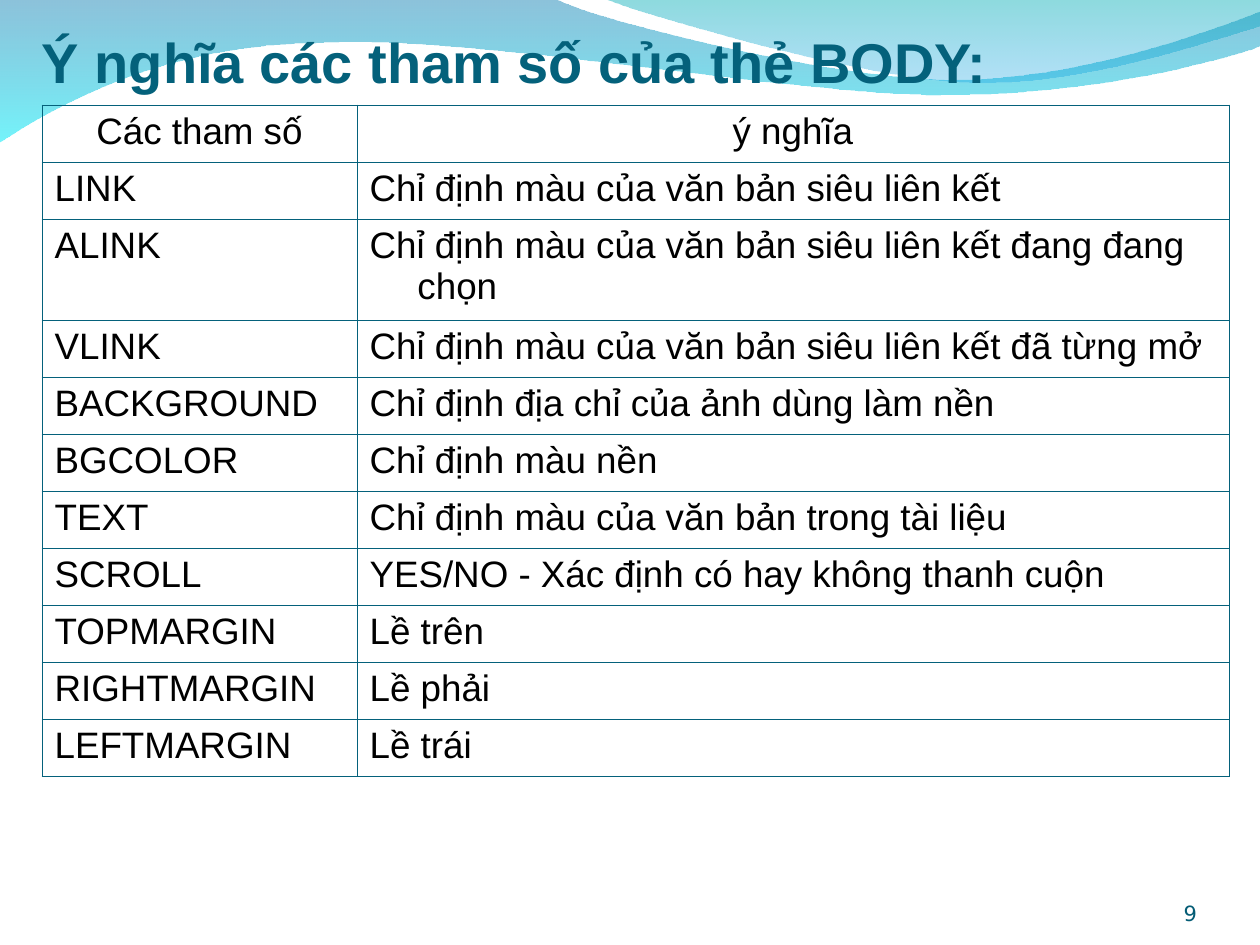
from dataclasses import dataclass

from lxml.etree import SubElement
from pptx import Presentation
from pptx.dml.color import RGBColor
from pptx.enum.text import MSO_ANCHOR, PP_ALIGN
from pptx.oxml import parse_xml
from pptx.oxml.ns import nsdecls, qn
from pptx.util import Inches, Pt


@dataclass(frozen=True)
class Theme:
    heading: str = "04617B"
    body: str = "000000"
    border: str = "04617B"
    number: str = "045C75"
    heading_size: int = 32
    body_size: int = 21
    number_size: int = 12
    border_width: float = 0.45
    font: str = "Arial"
    number_font: str = "DejaVu Sans"


THEME = Theme()

BROAD_WAVE = [
    [(0, -0.01)],
    [(4.4, -0.01)],
    [(4.76, 0.17), (6.64, 0.63), (7.58, 0.63)],
    [(8.53, 0.63), (9.58, 0.26), (10, 0.09)],
    [(10.01, 0.36)],
    [(9.83, 0.44), (8.7, 0.76), (7.46, 0.75)],
    [(6.22, 0.75), (3.82, 0.28), (2.57, 0.34)],
    [(1.29, 0.35), (0.46, 0.83), (-0.01, 1.13)],
]
RIGHT_WAVE = [
    [(4.79, -0.01)],
    [(5.09, 0.11), (6.82, 0.62), (7.69, 0.65)],
    [(8.56, 0.69), (9.61, 0.32), (10, 0.21)],
    [(10, 0)],
]
WAVES = [
    (BROAD_WAVE, [("0079AF", 45), ("00EBF8", 55)]),
    (RIGHT_WAVE, [("00ADB6", 45), ("009BE5", 30)]),
]

PARAMETERS = [
    ("Các tham số", "ý nghĩa"),
    ("LINK", "Chỉ định màu của văn bản siêu liên kết"),
    ("ALINK", "Chỉ định màu của văn bản siêu liên kết đang đang chọn"),
    ("VLINK", "Chỉ định màu của văn bản siêu liên kết đã từng mở"),
    ("BACKGROUND", "Chỉ định địa chỉ của ảnh dùng làm nền"),
    ("BGCOLOR", "Chỉ định màu nền"),
    ("TEXT", "Chỉ định màu của văn bản trong tài liệu"),
    ("SCROLL", "YES/NO - Xác định có hay không thanh cuộn"),
    ("TOPMARGIN", "Lề trên"),
    ("RIGHTMARGIN", "Lề phải"),
    ("LEFTMARGIN", "Lề trái"),
]
TALL_ROW = 2


def write_text(frame, text, *, size, color, font=THEME.font, bold=False,
               align=PP_ALIGN.LEFT, hanging=0):
    paragraph = frame.paragraphs[0]
    paragraph.alignment = align
    if hanging:
        properties = paragraph._p.get_or_add_pPr()
        properties.set("marL", str(Inches(hanging)))
        properties.set("indent", str(-Inches(hanging)))
    run = paragraph.add_run()
    run.text = text
    run.font.name = font
    run.font.size = Pt(size)
    run.font.bold = bold
    run.font.color.rgb = RGBColor.from_string(color)


def add_label(slide, box, text, top_inset=0, **text_format):
    frame = slide.shapes.add_textbox(*map(Inches, box)).text_frame
    frame.word_wrap = True
    frame.vertical_anchor = MSO_ANCHOR.BOTTOM
    frame.margin_left = frame.margin_right = frame.margin_bottom = 0
    frame.margin_top = Inches(top_inset)
    write_text(frame, text, **text_format)


def bend_outline(wave, segments):
    lines = iter(list(wave._element.iter(qn("a:lnTo"))))
    for segment in segments[1:]:
        controls = [next(lines) for _ in segment]
        if len(controls) == 3:
            curve = parse_xml(f'<a:cubicBezTo {nsdecls("a")}/>')
            controls[0].addprevious(curve)
            for control in controls:
                curve.append(control[0])
                control.getparent().remove(control)


def add_waves(slide, left, top):
    for segments, colors in WAVES:
        points = [(Inches(left + x), Inches(top + y)) for segment in segments for x, y in segment]
        builder = slide.shapes.build_freeform(*points[0])
        builder.add_line_segments(points[1:], close=True)
        wave = builder.convert_to_shape()
        bend_outline(wave, segments)
        wave.shadow.inherit = False
        wave.line.fill.background()
        wave.fill.gradient()
        wave.fill.gradient_angle = 270
        for stop, (color, _) in zip(wave.fill.gradient_stops, colors):
            stop.color.rgb = RGBColor.from_string(color)
        for tint, (_, opacity) in zip(wave._element.spPr.iter(qn("a:srgbClr")), colors):
            SubElement(tint, qn("a:alpha")).set("val", str(opacity * 1000))


def add_borders(cell):
    properties = cell._tc.get_or_add_tcPr()
    for index, side in enumerate(("lnL", "lnR", "lnT", "lnB")):
        properties.insert(index, parse_xml(
            f'<a:{side} {nsdecls("a")} w="{Pt(THEME.border_width)}"><a:solidFill>'
            f'<a:srgbClr val="{THEME.border}"/></a:solidFill></a:{side}>'
        ))


def add_parameter_table(slide, box):
    table = slide.shapes.add_table(len(PARAMETERS), 2, *map(Inches, box)).table
    table.first_row = table.horz_banding = False
    width, height = box[2:]
    name_width, tall_height = 2.5, 0.8
    row_height = (height - tall_height) / (len(PARAMETERS) - 1)
    table.columns[0].width = Inches(name_width)
    table.columns[1].width = Inches(width - name_width)
    for index, entry in enumerate(PARAMETERS):
        table.rows[index].height = Inches(tall_height if index == TALL_ROW else row_height)
        for column, text in enumerate(entry):
            cell = table.cell(index, column)
            cell.fill.background()
            add_borders(cell)
            write_text(cell.text_frame, text, size=THEME.body_size, color=THEME.body,
                       align=PP_ALIGN.LEFT if index else PP_ALIGN.CENTER, hanging=0.38)


def main():
    presentation = Presentation()
    presentation.slide_width = Inches(10)
    presentation.slide_height = Inches(7.5)
    slide = presentation.slides.add_slide(presentation.slide_layouts[6])
    margin = 1 / 3
    add_waves(slide, 0, 0)
    add_label(slide, (margin, 0.17, 8.5, 0.58), "Ý nghĩa các tham số của thẻ BODY:",
              top_inset=0.05, size=THEME.heading_size, color=THEME.heading, bold=True)
    add_parameter_table(slide, (margin, 2.5 * margin, 9.42, 5.33))
    add_label(slide, (8.67, 6.95, 0.83, 0.4), "9", size=THEME.number_size,
              color=THEME.number, font=THEME.number_font, align=PP_ALIGN.RIGHT)
    presentation.save("out.pptx")


if __name__ == "__main__":
    main()
